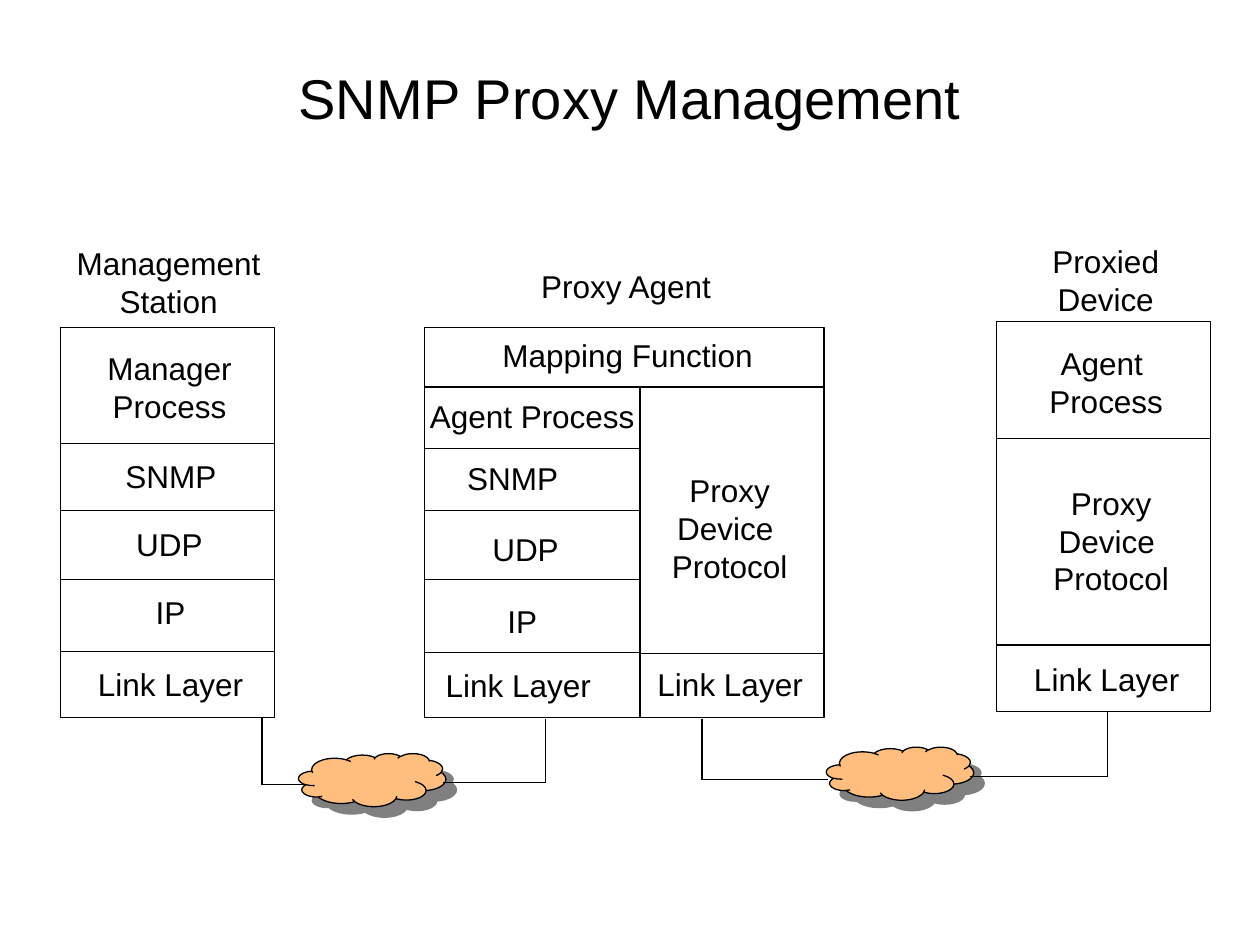
import itertools
import pptx
import pptx.util
import pptx.dml.color
import pptx.enum.shapes
import pptx.enum.text
import pptx.oxml
import pptx.oxml.ns
from pptx.util import Cm

COLORS = {"ink": "000000", "paper": "FFFFFF", "cloud": "FFBE7D", "shade": "808080"}
ALIGN = pptx.enum.text.PP_ALIGN
SHAPE = pptx.enum.shapes.MSO_SHAPE


def rgb(name):
    return pptx.dml.color.RGBColor.from_string(COLORS[name])


class Diagram:
    font = "Arial"
    size = 18
    line_width = 0.75

    def __init__(self, slide):
        self.slide = slide

    def text(self, words, left, top, width, height, size, align, wrap=False):
        frame = self.slide.shapes.add_textbox(Cm(left), Cm(top), Cm(width), Cm(height)).text_frame
        frame.word_wrap = wrap
        frame.text = words
        for paragraph in frame.paragraphs:
            paragraph.alignment = align
            for run in paragraph.runs:
                run.font.name = self.font
                run.font.size = pptx.util.Pt(size)
                run.font.color.rgb = rgb("ink")
        return frame

    def title(self, words):
        frame = self.text(words, 1.27, 0.36, 22.86, 3.18, 32, ALIGN.CENTER, wrap=True)
        frame.vertical_anchor = pptx.enum.text.MSO_ANCHOR.MIDDLE

    def label(self, words, center, top, width, align=ALIGN.CENTER):
        height = 0.25 + 0.76 * len(words.split("\n"))
        frame = self.text(words, center - width / 2, top, width, height, self.size, align)
        frame.auto_size = pptx.enum.text.MSO_AUTO_SIZE.SHAPE_TO_FIT_TEXT

    def shape(self, kind, left, top, width, height, fill):
        shape = self.slide.shapes.add_shape(kind, Cm(left), Cm(top), Cm(width), Cm(height))
        shape.shadow.inherit = False
        shape.fill.solid()
        shape.fill.fore_color.rgb = rgb(fill)
        shape.line.color.rgb = rgb("ink")
        shape.line.width = pptx.util.Pt(self.line_width)
        return shape

    def box(self, left, top, width, height):
        self.shape(SHAPE.RECTANGLE, left, top, width, height, "paper")

    def cloud(self, left, top):
        cloud = self.shape(SHAPE.CLOUD, left, top, 2.97, 1.07, "cloud")
        effects = cloud._element.spPr.find(pptx.oxml.ns.qn("a:effectLst"))
        effects.append(pptx.oxml.parse_xml(
            f'<a:outerShdw {pptx.oxml.ns.nsdecls("a")} dist="107950" dir="2700000" '
            f'algn="ctr" rotWithShape="0"><a:srgbClr val="{COLORS["shade"]}"/></a:outerShdw>'))

    def path_line(self, *points):
        for (x1, y1), (x2, y2) in itertools.pairwise(points):
            line = self.slide.shapes.add_connector(
                pptx.enum.shapes.MSO_CONNECTOR.STRAIGHT, Cm(x1), Cm(y1), Cm(x2), Cm(y2))
            line.line.color.rgb = rgb("ink")
            line.line.width = pptx.util.Pt(self.line_width)
            line._element.spPr.append(pptx.oxml.parse_xml(
                f'<a:effectLst {pptx.oxml.ns.nsdecls("a")}/>'))

    def dividers(self, left, right, heights):
        for y in heights:
            self.path_line((left, y), (right, y))

    def layers(self, rows):
        for words, center, top in rows:
            self.label(words, center, top, LAYER_WIDTHS[words], ALIGN.LEFT)


LAYER_WIDTHS = {"SNMP": 2.34, "UDP": 1.85, "IP": 1.12, "Link Layer": 3.43,
                "Mapping Function": 5.56}
PROXY_PROTOCOL = "Proxy\nDevice \nProtocol"

deck = pptx.Presentation()
deck.slide_width, deck.slide_height = Cm(25.4), Cm(19.05)
diagram = Diagram(deck.slides.add_slide(deck.slide_layouts[6]))
diagram.title("SNMP Proxy Management")

# Management station
diagram.label("Management\nStation", 3.4, 4.8, 4.22)
diagram.box(1.22, 6.6, 4.32, 7.87)
diagram.dividers(1.22, 5.54, [8.94, 10.29, 11.68, 13.13])
diagram.label("Manager\nProcess", 3.42, 6.91, 3.02)
diagram.layers([("SNMP", 3.45, 9.09), ("UDP", 3.42, 10.46),
                ("IP", 3.45, 11.84), ("Link Layer", 3.44, 13.28)])

# Proxy agent
diagram.label("Proxy Agent", 12.62, 5.26, 3.96)
diagram.box(8.56, 6.6, 8.05, 7.87)
diagram.dividers(8.56, 16.61, [7.8])
diagram.dividers(8.56, 12.9, [9.04, 10.29, 11.68, 13.16])
diagram.dividers(12.9, 16.61, [13.18])
diagram.path_line((12.9, 7.8), (12.9, 14.45))
diagram.label("Agent Process", 10.73, 7.87, 4.65)
diagram.label(PROXY_PROTOCOL, 14.71, 9.37, 2.84)
diagram.layers([("Mapping Function", 12.66, 6.65), ("SNMP", 10.34, 9.12),
                ("UDP", 10.6, 10.57), ("IP", 10.54, 12.01),
                ("Link Layer", 10.45, 13.31), ("Link Layer", 14.72, 13.28)])

# Proxied device
diagram.label("Proxied\nDevice", 22.29, 4.75, 2.67)
diagram.box(20.09, 6.48, 4.32, 7.87)
diagram.dividers(20.09, 24.41, [8.84, 13])
diagram.label("Agent \nProcess", 22.3, 6.81, 3.02)
diagram.label(PROXY_PROTOCOL, 22.4, 9.63, 2.84)
diagram.layers([("Link Layer", 22.31, 13.18)])

# Networks and their links
diagram.path_line((5.28, 14.45), (5.28, 15.82), (6.32, 15.82))
diagram.cloud(6.02, 15.19)
diagram.cloud(16.66, 15.06)
diagram.path_line((11, 14.5), (11, 15.77), (8.94, 15.77))
diagram.path_line((14.15, 14.5), (14.15, 15.72), (16.69, 15.72))
diagram.path_line((22.33, 14.35), (22.33, 15.65), (19.56, 15.65))

deck.save("out.pptx")
